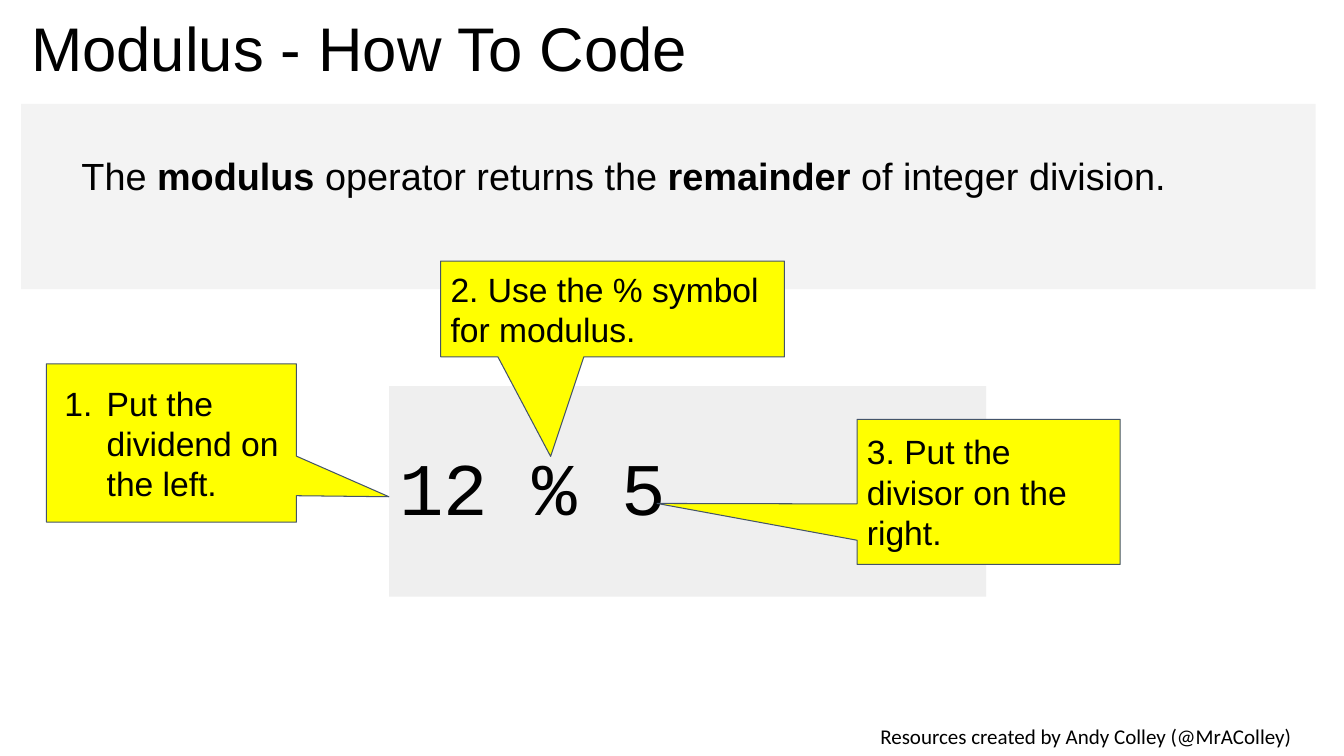
from lxml.etree import SubElement
from pptx import Presentation
from pptx.dml.color import RGBColor
from pptx.enum.shapes import MSO_SHAPE
from pptx.enum.text import MSO_ANCHOR, PP_ALIGN
from pptx.oxml.ns import qn
from pptx.util import Inches, Pt

BLACK = RGBColor(0x00, 0x00, 0x00)
PANEL_GREY = RGBColor(0xF3, 0xF3, 0xF3)
CODE_GREY = RGBColor(0xEF, 0xEF, 0xEF)
YELLOW = RGBColor(0xFF, 0xFF, 0x00)
OUTLINE = RGBColor(0x44, 0x54, 0x6A)

# Each callout: box, pointer tip (shares of the box from its centre), text, numbered
CALLOUTS = [
    ((0.46, 3.61, 2.48, 1.57), (0.87, 0.34), "Put the dividend on the left.", True),
    ((4.37, 2.59, 3.41, 0.95), (-0.18, 1.54), "2. Use the % symbol for modulus.", False),
    ((8.5, 4.16, 2.61, 1.44), (-1.26, 0.08), "3. Put the divisor on the right.", False),
]


def write(shape, spans, size, font="Arial", inset=0.05, align=PP_ALIGN.LEFT):
    """Fill a shape with one paragraph of (text, bold) spans and return it."""
    frame = shape.text_frame
    frame.word_wrap = True
    frame.vertical_anchor = MSO_ANCHOR.MIDDLE
    frame.margin_left = frame.margin_right = Inches(0.1)
    frame.margin_top = frame.margin_bottom = Inches(inset)
    para = frame.paragraphs[0]
    para.alignment = align
    para.font.name = font
    para.font.size = Pt(size)
    para.font.color.rgb = BLACK
    for text, bold in spans:
        span = para.add_run()
        span.text = text
        if bold:
            span.font.bold = True
    return para


def indent(para, left, first=0):
    properties = para._p.get_or_add_pPr()
    properties.set("marL", str(Inches(left)))
    properties.set("indent", str(Inches(first)))
    return properties


def number(para):
    """Turn a paragraph into the first item of a numbered list."""
    properties = indent(para, 0.5, -0.42)
    bullet = SubElement(properties, qn("a:buAutoNum"), type="arabicPeriod")
    properties.insert(0, bullet)


def add_text(slide, box, *args, **kwargs):
    return write(slide.shapes.add_textbox(*map(Inches, box)), *args, **kwargs)


def add_block(slide, kind, box, fill):
    block = slide.shapes.add_shape(kind, *map(Inches, box))
    block.shadow.inherit = False
    block.fill.solid()
    block.fill.fore_color.rgb = fill
    block.line.fill.background()
    return block


def add_definition(slide, box):
    panel = add_block(slide, MSO_SHAPE.RECTANGLE, box, PANEL_GREY)
    spans = [("The ", False), ("modulus ", True), ("operator returns the ", False),
             ("remainder", True), (" of integer division.", False)]
    indent(write(panel, spans, 27), 0.5)
    panel.text_frame.margin_bottom = Inches(0.47)


def add_code(slide, box):
    panel = add_block(slide, MSO_SHAPE.RECTANGLE, box, CODE_GREY)
    write(panel, [("12 % 5", False)], 53, "Courier New").line_spacing = 0.9


def add_callout(slide, box, tip, text, numbered):
    callout = add_block(slide, MSO_SHAPE.ROUNDED_RECTANGULAR_CALLOUT, box, YELLOW)
    for index, value in enumerate((*tip, 0)):
        callout.adjustments[index] = value
    callout.line.color.rgb = OUTLINE
    callout.line.width = Pt(0.75)
    para = write(callout, [(text, False)], 24, inset=0.1)
    if numbered:
        number(para)


def add_modulus_slide(deck):
    slide = deck.slides.add_slide(deck.slide_layouts[6])
    add_text(slide, (8.21, 7.1, 5.12, 0.4),
             [("Resources created by Andy Colley (@MrAColley)", False)],
             15, "Calibri", inset=0.1, align=PP_ALIGN.CENTER)
    title = add_text(slide, (0.21, 0, 11.5, 1.03), [("Modulus - How To Code", False)], 44)
    title.line_spacing = 0.9
    add_definition(slide, (0.21, 1.03, 12.84, 1.84))
    add_code(slide, (3.86, 3.83, 5.92, 2.09))
    for callout in CALLOUTS:
        add_callout(slide, *callout)


def main():
    deck = Presentation()
    deck.slide_width = Inches(13.33)
    deck.slide_height = Inches(7.5)
    add_modulus_slide(deck)
    deck.save("out.pptx")


if __name__ == "__main__":
    main()
